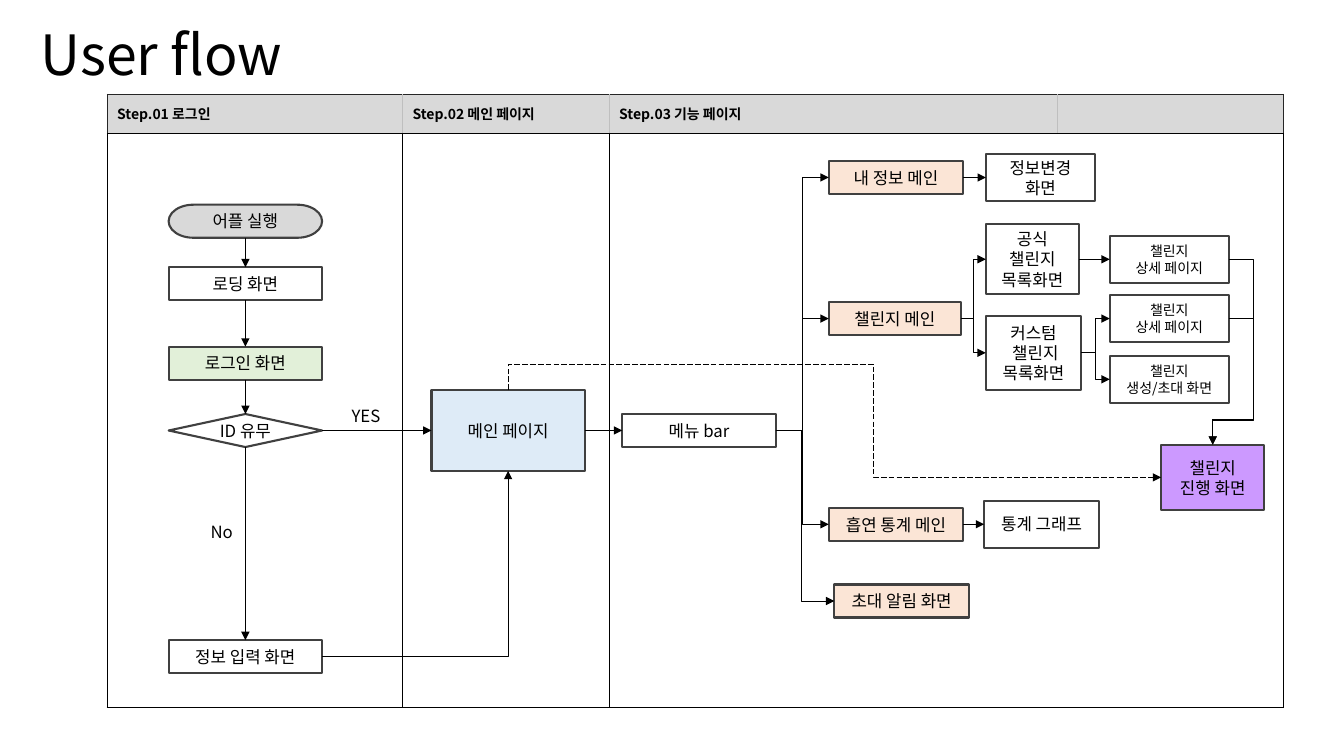
"""Build the user flow slide."""
from dataclasses import dataclass

from lxml.etree import SubElement
from pptx import Presentation
from pptx.dml.color import RGBColor
from pptx.enum.dml import MSO_LINE
from pptx.enum.shapes import MSO_CONNECTOR, MSO_SHAPE
from pptx.enum.text import MSO_ANCHOR, MSO_AUTO_SIZE, PP_ALIGN
from pptx.oxml.ns import qn
from pptx.util import Pt

TOP, LEFT, BASE, RIGHT = range(4)


@dataclass(frozen=True)
class Theme:
    """Colours, font and type sizes of the slide."""
    font: str = "Noto Sans CJK KR"
    ink: str = "000000"
    edge: str = "404040"
    rim: str = "262626"
    rule: str = "BFBFBF"
    gray: str = "D9D9D9"
    white: str = "FFFFFF"
    green: str = "E2F0D9"
    blue: str = "DEEBF7"
    peach: str = "FBE5D6"
    plum: str = "CC99FF"
    head: float = 39.6
    body: float = 12
    small: float = 10


T = Theme()


def rgb(code):
    """Turn a hex code into a colour."""
    return RGBColor.from_string(code)


def write(frame, text, size, align=PP_ALIGN.LEFT, bold=False):
    """Fill a text frame, one paragraph per line."""
    for i, line in enumerate(text.split("\n")):
        para = frame.add_paragraph() if i else frame.paragraphs[0]
        para.alignment = align
        run = para.add_run()
        run.text = line
        font = run.font
        font.size, font.bold = Pt(size), bold
        font.color.rgb = rgb(T.ink)
        font.name = T.font
        SubElement(run._r.get_or_add_rPr(), qn("a:ea"), typeface=T.font)


def title(slide, text):
    """Place and fill the title."""
    box = slide.shapes.title
    box.left, box.top, box.width, box.height = Pt(21.6), Pt(17.3), Pt(237), Pt(48.2)
    frame = box.text_frame
    frame.auto_size = MSO_AUTO_SIZE.NONE
    frame.vertical_anchor = MSO_ANCHOR.MIDDLE
    write(frame, text, T.head)
    frame.paragraphs[0].line_spacing = 0.9


def border(cell, **sides):
    """Draw the cell borders, given as side=(colour, width)."""
    props = cell._tc.get_or_add_tcPr()
    for side in "LRTB":
        color, width = sides[side]
        line = SubElement(props, qn("a:ln" + side), w=str(Pt(width)))
        fill = SubElement(line, qn("a:solidFill"))
        SubElement(fill, qn("a:srgbClr"), val=color)


def lanes(slide, heads, widths, rows):
    """Add the table of step lanes."""
    last = len(heads) - 1
    frame = slide.shapes.add_table(2, len(heads), Pt(76.5), Pt(67.2),
                                   Pt(sum(widths)), Pt(sum(rows)))
    table = frame.table
    table.first_row = table.horz_banding = False
    for row, high in zip(table.rows, rows):
        row.height = Pt(high)
    black, rim, rule = (T.ink, 1), (T.rim, 0.25), (T.rule, 0.25)
    for i, (head, wide) in enumerate(zip(heads, widths)):
        table.columns[i].width = Pt(wide)
        top, body = table.cell(0, i), table.cell(1, i)
        border(top, L=rule if i else rim, R=rule if i < last else rim,
               T=rim, B=black)
        border(body, L=black, R=black, T=black, B=black)
        top.fill.solid()
        top.fill.fore_color.rgb = rgb(T.gray)
        body.fill.background()
        top.margin_top = top.margin_bottom = 0
        top.vertical_anchor = MSO_ANCHOR.MIDDLE
        if head:
            write(top.text_frame, head, T.small, bold=True)
    table.cell(1, last - 1).merge(table.cell(1, last))


def node(slide, text, x, mid, wide=109.6, high=23.6, fill=T.white,
         size=T.body, kind=MSO_SHAPE.FLOWCHART_PROCESS):
    """Add a flow box whose middle lies at height mid."""
    box = slide.shapes.add_shape(kind, Pt(x), Pt(mid - high / 2), Pt(wide), Pt(high))
    box.shadow.inherit = False
    box.fill.solid()
    box.fill.fore_color.rgb = rgb(fill)
    box.line.color.rgb = rgb(T.edge)
    box.line.width = Pt(1.5)
    frame = box.text_frame
    frame.word_wrap = True
    frame.vertical_anchor = MSO_ANCHOR.MIDDLE
    frame.margin_left = frame.margin_right = Pt(3.6)
    frame.margin_top = frame.margin_bottom = 0
    write(frame, text, size, PP_ALIGN.CENTER)
    return box


def label(slide, text, x, y):
    """Add a branch label."""
    box = slide.shapes.add_textbox(Pt(x), Pt(y), Pt(38), Pt(21.6))
    write(box.text_frame, text, T.body)


def wire(slide, start, end, out=RIGHT, into=LEFT, bend=None, adj=()):
    """Join two boxes with an arrow, straight where they line up."""
    link = slide.shapes.add_connector(MSO_CONNECTOR.ELBOW, 0, 0, 0, 0)
    link.begin_connect(start, out)
    link.end_connect(end, into)
    props = link._element.spPr
    geom = props.find(qn("a:prstGeom"))
    flat = min(link.width, link.height) < Pt(1)
    geom.set("prst", bend or ("line" if flat else "bentConnector3"))
    guides = geom.find(qn("a:avLst"))
    if guides is None:
        guides = SubElement(geom, qn("a:avLst"))
    for i, part in enumerate(adj, 1):
        SubElement(guides, qn("a:gd"), name=f"adj{i}", fmla=f"val {round(part * 100000)}")
    link.line.color.rgb = rgb(T.ink)
    link.line.width = Pt(0.5)
    SubElement(props.find(qn("a:ln")), qn("a:tailEnd"), type="triangle")
    SubElement(props, qn("a:effectLst"))
    return link


def turn(link):
    """Turn a link so that it leaves upwards, keeping its ends."""
    wide, high = link.width, link.height
    shift = (wide - high) // 2
    link.left, link.top = link.left + shift, link.top - shift
    link.width, link.height = high, wide
    frame = link._element.spPr.find(qn("a:xfrm"))
    frame.set("rot", "16200000")
    frame.set("flipH", "1")


def main():
    """Build and save the slide."""
    deck = Presentation()
    deck.slide_width, deck.slide_height = Pt(960), Pt(540)
    slide = deck.slides.add_slide(deck.slide_layouts[5])
    lanes(slide, ["Step.01 로그인", "Step.02 메인 페이지", "Step.03 기능 페이지", ""],
          [211, 147.6, 320.4, 161.3], [28, 410])
    title(slide, "User flow")

    first, row = 120.5, 307.5
    run = node(slide, "어플 실행", first, 158, fill=T.gray,
               kind=MSO_SHAPE.FLOWCHART_TERMINATOR)
    load = node(slide, "로딩 화면", first, 202.7)
    login = node(slide, "로그인 화면", first, 259.4, fill=T.green)
    check = node(slide, "ID 유무", first, row, kind=MSO_SHAPE.FLOWCHART_DECISION)
    form = node(slide, "정보 입력 화면", first, 469)
    home = node(slide, "메인 페이지", 308.2, row, high=57.8, fill=T.blue)
    menu = node(slide, "메뉴 bar", 444.5, row)
    label(slide, "No", 143.3, 369.4)
    label(slide, "YES", 244, 286.6)

    info, game, stats, call = [
        node(slide, text, x, mid, wide, fill=T.peach) for text, x, mid, wide in (
            ("내 정보 메인", 592, 126.8, 96), ("챌린지 메인", 592, 227.6, 94.5),
            ("흡연 통계 메인", 592, 374.5, 96), ("초대 알림 화면", 596, 429.3, 96))]
    edit = node(slide, "정보변경\n화면", 704.2, 126.8, 78, 33.4)
    open_ = node(slide, "공식\n챌린지 목록화면", 704.2, 185.2, 66.5, 50)
    custom = node(slide, "커스텀\n 챌린지 목록화면", 704.2, 252, 68, 53)
    graph = node(slide, "통계 그래프", 703, 374.5, 82, 33.4)
    pages = [node(slide, "챌린지\n" + text, 792.7, mid, 85, 33.4, size=T.small)
             for text, mid in (("상세 페이지", 185.2), ("상세 페이지", 227.6),
                               ("생성/초대 화면", 271))]
    play = node(slide, "챌린지\n진행 화면", 829.4, 341, 73.8, 46.8, fill=T.plum)

    for start, end in ((run, load), (load, login), (login, check), (check, form)):
        wire(slide, start, end, BASE, TOP)
    for start, end in ((check, home), (home, menu), (menu, info), (menu, game),
                       (menu, stats), (info, edit), (game, open_), (game, custom),
                       (stats, graph), (open_, pages[0]), (custom, pages[1]),
                       (custom, pages[2])):
        wire(slide, start, end)
    wire(slide, menu, call, adj=[0.44])
    wire(slide, form, home, RIGHT, BASE, "bentConnector2")
    for page, drop in zip(pages, (0.87, 0.8)):
        wire(slide, page, play, RIGHT, TOP, "bentConnector4", (-1.55, drop))
    dash = wire(slide, home, play, TOP, LEFT, "bentConnector4", (-0.29, 0.56))
    dash.line.dash_style = MSO_LINE.LONG_DASH
    turn(dash)
    deck.save("out.pptx")


main()
